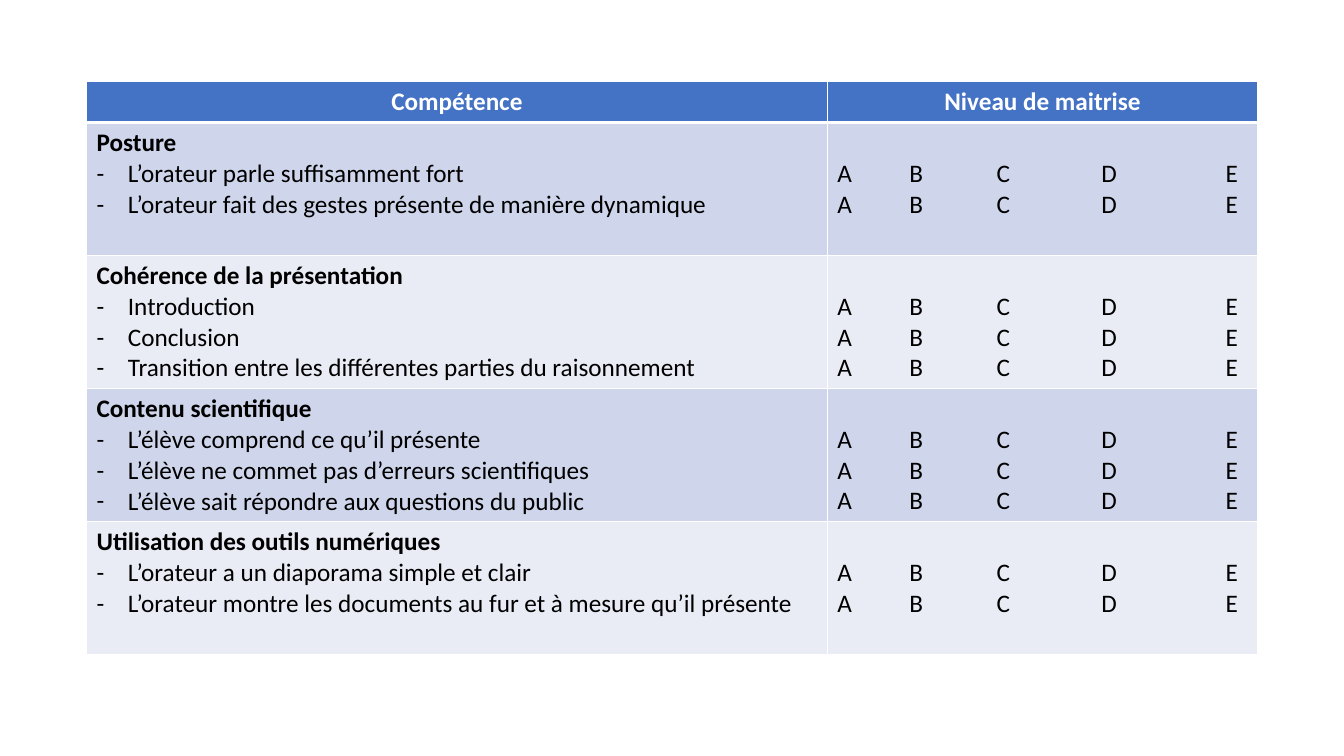
from dataclasses import dataclass

from lxml.etree import SubElement
from pptx import Presentation
from pptx.dml.color import RGBColor
from pptx.enum.text import PP_ALIGN
from pptx.oxml import parse_xml
from pptx.oxml.ns import nsdecls, qn
from pptx.util import Cm, Pt

HEADINGS = ["Compétence", "Niveau de maitrise"]
LEVELS = ["A", "B", "C", "D", "E"]
SKILLS = [
    ("Posture", [
        "L’orateur parle suffisamment fort",
        "L’orateur fait des gestes présente de manière dynamique",
    ]),
    ("Cohérence de la présentation", [
        "Introduction",
        "Conclusion",
        "Transition entre les différentes parties du raisonnement",
    ]),
    ("Contenu scientifique", [
        "L’élève comprend ce qu’il présente",
        "L’élève ne commet pas d’erreurs scientifiques",
        "L’élève sait répondre aux questions du public",
    ]),
    ("Utilisation des outils numériques", [
        "L’orateur a un diaporama simple et clair",
        "L’orateur montre les documents au fur et à mesure qu’il présente",
    ]),
]


@dataclass(frozen=True)
class Theme:
    font: str = "Calibri"
    size: int = 18
    header: str = "4472C4"
    bands: tuple = ("CFD5EA", "E9EBF5")
    light: str = "FFFFFF"
    dark: str = "000000"
    thin: int = 1
    thick: int = 3


THEME = Theme()
LEFT, TOP = Cm(2.18), Cm(2.06)
COLUMN_WIDTHS = [Cm(18.67), Cm(10.85)]
HEADER_HEIGHT, SKILL_HEIGHT = Cm(1.02), Cm(3.35)
INDENT = Cm(0.79)
LEVEL_STOPS = [Cm(1.81), Cm(4.01), Cm(6.65), Cm(9.78)]
LEVEL_MARGIN_TOP = Cm(0.9)


def style_cell(cell, fill, top, bottom):
    cell.fill.solid()
    cell.fill.fore_color.rgb = RGBColor.from_string(fill)
    properties = cell._tc.get_or_add_tcPr()
    edges = [("L", THEME.thin), ("R", THEME.thin), ("T", top), ("B", bottom)]
    for position, (side, width) in enumerate(edges):
        properties.insert(position, parse_xml(
            f'<a:ln{side} {nsdecls("a")} w="{Pt(width)}"><a:solidFill>'
            f'<a:srgbClr val="{THEME.light}"/></a:solidFill></a:ln{side}>'))


def add_line(cell, words, color, bold=False, first=False):
    frame = cell.text_frame
    line = frame.paragraphs[0] if first else frame.add_paragraph()
    run = line.add_run()
    run.text = words
    run.font.name = THEME.font
    run.font.size = Pt(THEME.size)
    run.font.bold = bold
    run.font.color.rgb = RGBColor.from_string(color)
    return line


def add_dash(line):
    properties = line._p.get_or_add_pPr()
    properties.set("marL", str(INDENT))
    properties.set("indent", str(-INDENT))
    SubElement(properties, qn("a:buFont"), typeface=THEME.font)
    SubElement(properties, qn("a:buChar"), char="-")


def add_level_stops(line):
    stops = SubElement(line._p.get_or_add_pPr(), qn("a:tabLst"))
    for stop in LEVEL_STOPS:
        SubElement(stops, qn("a:tab"), pos=str(stop), algn="l")


def main():
    deck = Presentation()
    deck.slide_width, deck.slide_height = Cm(33.87), Cm(19.05)
    slide = deck.slides.add_slide(deck.slide_layouts[6])
    grid = slide.shapes.add_table(
        len(SKILLS) + 1, len(HEADINGS), LEFT, TOP, sum(COLUMN_WIDTHS),
        HEADER_HEIGHT + SKILL_HEIGHT * len(SKILLS)).table

    for column, width in zip(grid.columns, COLUMN_WIDTHS):
        column.width = width
    grid.rows[0].height = HEADER_HEIGHT
    for column, heading in enumerate(HEADINGS):
        cell = grid.cell(0, column)
        style_cell(cell, THEME.header, THEME.thin, THEME.thick)
        line = add_line(cell, heading, THEME.light, bold=True, first=True)
        line.alignment = PP_ALIGN.CENTER

    for row, (skill, criteria) in enumerate(SKILLS, start=1):
        grid.rows[row].height = SKILL_HEIGHT
        skill_cell, level_cell = grid.cell(row, 0), grid.cell(row, 1)
        for cell in (skill_cell, level_cell):
            style_cell(cell, THEME.bands[(row - 1) % 2],
                       THEME.thick if row == 1 else THEME.thin, THEME.thin)
        level_cell.margin_top = LEVEL_MARGIN_TOP
        add_line(skill_cell, skill, THEME.dark, bold=True, first=True)
        for position, criterion in enumerate(criteria):
            add_dash(add_line(skill_cell, criterion, THEME.dark))
            add_level_stops(add_line(level_cell, "\t".join(LEVELS), THEME.dark,
                                     first=position == 0))

    deck.save("out.pptx")


if __name__ == "__main__":
    main()
